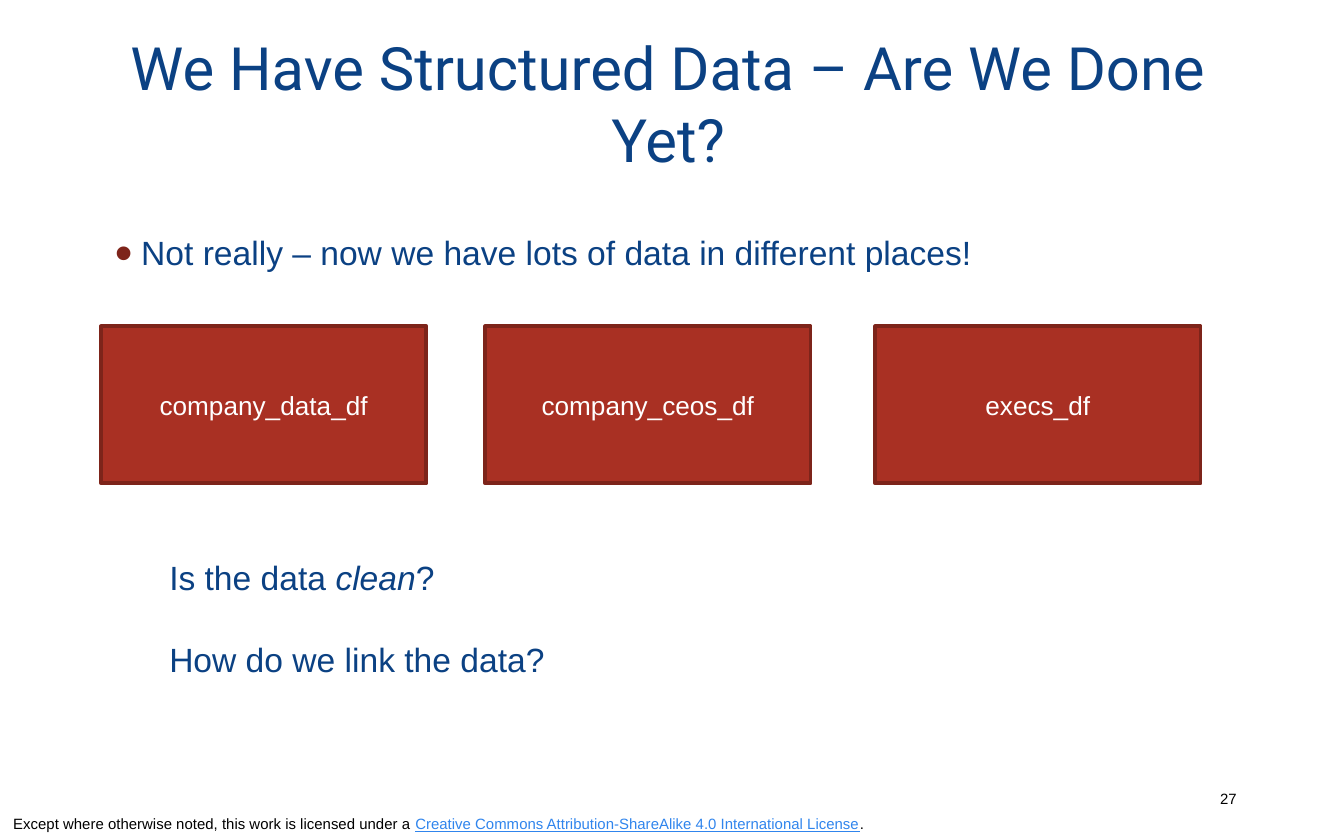
from dataclasses import dataclass
from typing import NamedTuple

from lxml.etree import SubElement
from pptx import Presentation
from pptx.dml.color import RGBColor
from pptx.enum.shapes import MSO_SHAPE
from pptx.enum.text import MSO_ANCHOR, PP_ALIGN
from pptx.oxml.ns import qn
from pptx.util import Cm, Pt


@dataclass(frozen=True)
class Theme:
    navy: str = "0B4183"
    red: str = "A93023"
    edge: str = "7D241A"
    dot: str = "7E241A"
    link: str = "3085ED"
    black: str = "000000"
    white: str = "FFFFFF"
    head: str = "Roboto"
    body: str = "Arial"
    title: int = 32
    text: int = 18
    label: int = 14
    small: int = 8


class Area(NamedTuple):
    left: float
    top: float
    width: float
    height: float


class Frame(NamedTuple):
    name: str
    left: float


THEME = Theme()
FRAMES = [
    Frame("company_data_df", 1.91),
    Frame("company_ceos_df", 9.17),
    Frame("execs_df", 16.54),
]


def style(font, size: int, color: str, face: str = THEME.body) -> None:
    font.size = Pt(size)
    font.name = face
    font.color.rgb = RGBColor.from_string(color)


def add_text(slide, area: Area, anchor=MSO_ANCHOR.MIDDLE, pad=0.13, wrap=True):
    frame = slide.shapes.add_textbox(*map(Cm, area)).text_frame
    frame.word_wrap = wrap
    frame.vertical_anchor = anchor
    frame.margin_top = frame.margin_bottom = Cm(pad)
    return frame


def add_runs(para, *parts: str) -> list:
    runs = []
    for part in parts:
        run = para.add_run()
        run.text = part
        runs.append(run)
    return runs


def add_bullet(para, color: str, scale: int) -> None:
    props = para._p.get_or_add_pPr()
    props.set("marL", str(Cm(1.12)))
    props.set("indent", str(Cm(-0.5)))
    tint = SubElement(props, qn("a:buClr"))
    SubElement(tint, qn("a:srgbClr"), val=color)
    SubElement(props, qn("a:buSzPct"), val=str(scale * 1000))
    SubElement(props, qn("a:buFont"), typeface=THEME.body)
    SubElement(props, qn("a:buChar"), char="•")


def add_frame(slide, item: Frame) -> None:
    box = slide.shapes.add_shape(
        MSO_SHAPE.RECTANGLE, Cm(item.left), Cm(6.17), Cm(6.15), Cm(2.97))
    box.shadow.inherit = False
    box.fill.solid()
    box.fill.fore_color.rgb = RGBColor.from_string(THEME.red)
    box.line.color.rgb = RGBColor.from_string(THEME.edge)
    box.line.width = Pt(2)
    box.text_frame.vertical_anchor = MSO_ANCHOR.MIDDLE
    para = box.text_frame.paragraphs[0]
    para.text = item.name
    para.alignment = PP_ALIGN.CENTER
    style(para.font, THEME.label, THEME.white)


def main() -> None:
    deck = Presentation()
    deck.slide_width, deck.slide_height = Cm(25.4), Cm(15.88)
    slide = deck.slides.add_slide(deck.slide_layouts[6])

    # Licence line
    frame = add_text(slide, Area(0, 15.29, 19.05, 0.58), MSO_ANCHOR.BOTTOM)
    para = frame.paragraphs[0]
    runs = add_runs(
        para,
        "Except where otherwise noted, this work is licensed under a\u00a0",
        "Creative Commons Attribution-ShareAlike 4.0 International License",
        ".")
    style(para.font, THEME.small, THEME.black)
    runs[1].font.color.rgb = RGBColor.from_string(THEME.link)
    runs[1].font.underline = True

    # Title
    para = add_text(slide, Area(1.3, 0.43, 22.66, 3.02), pad=0.25).paragraphs[0]
    para.text = "We Have Structured Data – Are We Done Yet?"
    para.alignment = PP_ALIGN.CENTER
    style(para.font, THEME.title, THEME.navy, THEME.head)

    # Answer
    para = add_text(slide, Area(1.3, 4.04, 22.66, 1.47), pad=0.25).paragraphs[0]
    para.text = "Not really – now we have lots of data in different places!"
    add_bullet(para, THEME.dot, 150)
    style(para.font, THEME.text, THEME.navy)

    # Page number
    para = add_text(slide, Area(22.81, 14.68, 1.14, 0.84)).paragraphs[0]
    para.text = "27"
    style(para.font, THEME.small, THEME.black)

    # Data frames
    for item in FRAMES:
        add_frame(slide, item)

    # Open questions
    frame = add_text(slide, Area(2.95, 10.39, 7.67, 2.57), MSO_ANCHOR.TOP,
                     wrap=False)
    first, last = frame.paragraphs[0], frame.add_paragraph()
    runs = add_runs(first, "Is the data ", "clean", "?")
    runs[1].font.italic = True
    last.text = "How do we link the data?"
    last.space_before = Pt(22.7)
    for para in (first, last):
        style(para.font, THEME.text, THEME.navy)

    deck.save("out.pptx")


if __name__ == "__main__":
    main()
